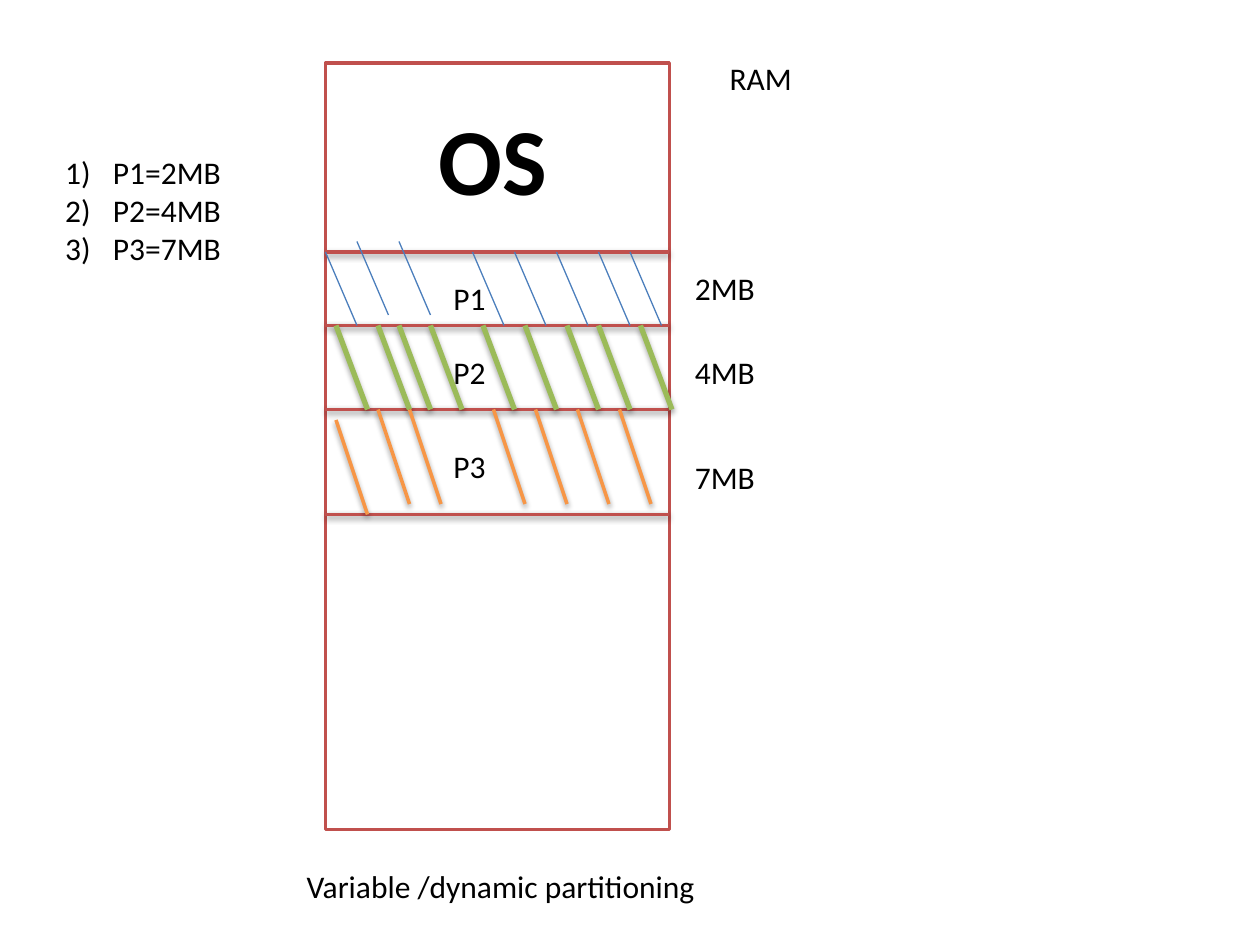
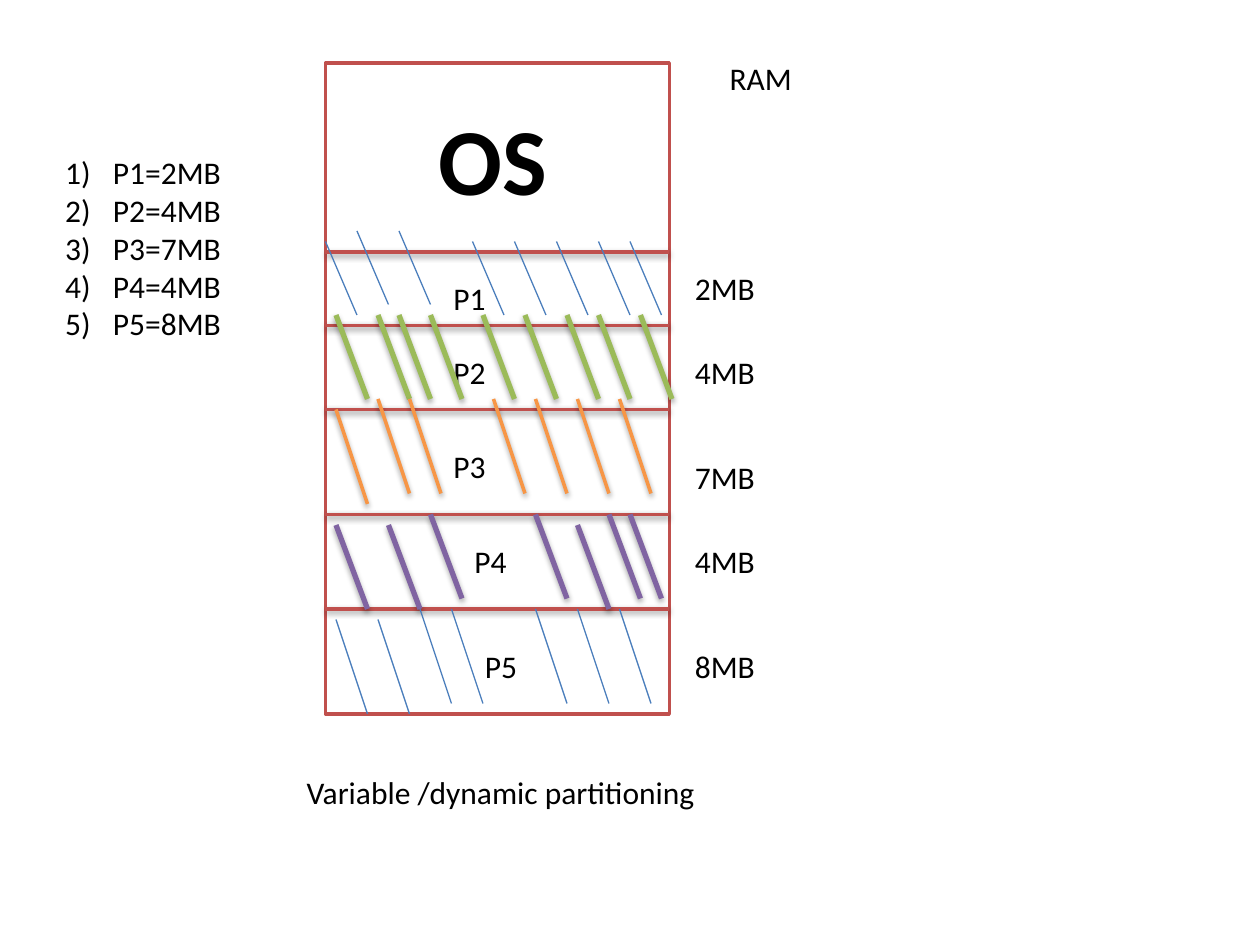
from dataclasses import dataclass

from lxml import etree
from pptx import Presentation
from pptx.dml.color import RGBColor
from pptx.enum.shapes import MSO_CONNECTOR, MSO_SHAPE
from pptx.enum.text import MSO_ANCHOR, MSO_AUTO_SIZE, PP_ALIGN
from pptx.oxml.ns import qn
from pptx.util import Inches, Pt

STRAIGHT, RECT = MSO_CONNECTOR.STRAIGHT, MSO_SHAPE.RECTANGLE
LEFT, CENTER, TOP = PP_ALIGN.LEFT, PP_ALIGN.CENTER, MSO_ANCHOR.TOP
FIT = MSO_AUTO_SIZE.SHAPE_TO_FIT_TEXT

COLORS = {"frame": "C0504D", "paper": "FFFFFF", "ink": "000000", "blue": "4B7EBC",
          "green": "9BBB59", "orange": "F79646", "purple": "8064A2"}
FONT = "Calibri"

# The slide is a grid of 120 columns by 90 rows
COLS, ROWS = 120, 90
SLIDE_W, SLIDE_H = Inches(10), Inches(7.5)
RAM_LEFT, RAM_TOP, RAM_WIDTH = 31, 6, 32.75
LEAN = 3            # columns a hatch stroke moves to the right
ROW_TEXT = 4.8      # rows taken by one line of text
LIST_INDENT = Inches(0.38)


@dataclass(frozen=True)
class Stroke:
    color: str
    weight: float
    shadow: tuple[int, int] | None = None   # opacity in percent, distance in EMU


FRAME = Stroke("frame", 2, (38, 20000))
THIN = Stroke("blue", 0.75)


@dataclass(frozen=True)
class Process:
    name: str
    size: str
    top: int
    bottom: int
    name_at: tuple[int, int]
    size_row: int
    stroke: Stroke
    hatch_cols: tuple[int, ...]
    hatch_rows: int
    moved_cols: tuple[int, ...] = ()        # strokes that start off the top edge
    moved_by: int = 1


@dataclass(frozen=True)
class Memory:
    count: int          # processes loaded
    rows: int           # height of the RAM frame
    caption_row: int
    list_cols: float
    raised: int         # processes whose hatching sits one row higher


PROCESSES = (
    Process("P1", "2MB", 24, 31, (42, 26), 25, THIN,
            (31, 34, 38, 45, 49, 53, 57, 60), 7, (34, 38), -1),
    Process("P2", "4MB", 31, 39, (42, 33), 33, Stroke("green", 3, (35, 23000)),
            (32, 36, 38, 41, 46, 50, 54, 57, 61), 8),
    Process("P3", "7MB", 39, 49, (42, 42), 43, Stroke("orange", 2, (38, 20000)),
            (32, 36, 39, 47, 51, 55, 59), 9, (32,)),
    Process("P4", "4MB", 49, 58, (44, 51), 51, Stroke("purple", 3, (35, 23000)),
            (32, 37, 41, 51, 55, 58, 60), 8, (32, 37, 55)),
    Process("P5", "8MB", 58, 68, (45, 61), 61, THIN,
            (32, 36, 40, 43, 51, 55, 59), 9, (32, 36)),
)
MEMORIES = (Memory(3, 73, 82, 17.4, 0), Memory(5, 62, 73, 20, 3))


def x(col: float) -> int:
    return round(SLIDE_W * col / COLS)


def y(row: float) -> int:
    return round(SLIDE_H * row / ROWS)


def rgb(name: str) -> RGBColor:
    return RGBColor.from_string(COLORS[name])


def add_run(p, text: str, size: int = 18, bold: bool = False) -> None:
    r = p.add_run()
    r.text = text
    r.font.name, r.font.size, r.font.bold = FONT, Pt(size), bold
    r.font.color.rgb = rgb("ink")


def add_label(s, text: str, col: float, row: float, cols: float,
              rows: float = ROW_TEXT, size: int = 18, bold: bool = False, align=LEFT) -> None:
    tf = s.shapes.add_textbox(x(col), y(row), x(cols), y(rows)).text_frame
    tf.word_wrap, tf.auto_size = True, FIT
    p = tf.paragraphs[0]
    p.alignment = align
    add_run(p, text, size, bold)


def add_line(s, start: tuple[float, float], end: tuple[float, float], stroke: Stroke) -> None:
    line = s.shapes.add_connector(STRAIGHT, x(start[0]), y(start[1]), x(end[0]), y(end[1]))
    line.line.color.rgb = rgb(stroke.color)
    line.line.width = Pt(stroke.weight)
    effects = etree.SubElement(line._element.spPr, qn("a:effectLst"))
    if stroke.shadow:
        opacity, distance = stroke.shadow
        shadow = etree.SubElement(effects, qn("a:outerShdw"), blurRad="40000",
                                  dist=str(distance), dir="5400000", rotWithShape="0")
        color = etree.SubElement(shadow, qn("a:srgbClr"), val=COLORS["ink"])
        etree.SubElement(color, qn("a:alpha"), val=str(opacity * 1000))


def place(sp, col: float, row: float, cols: float, rows: float):
    """Move a placeholder on the grid and return its text frame."""
    sp.left, sp.top, sp.width, sp.height = x(col), y(row), x(cols), y(rows)
    tf = sp.text_frame
    tf.auto_size, tf.vertical_anchor = FIT, TOP
    return tf


def add_caption(s, row: float) -> None:
    tf = place(s.shapes.title, 28, row, 40.5, ROW_TEXT)
    tf.word_wrap = False
    tf.paragraphs[0].alignment = LEFT
    add_run(tf.paragraphs[0], "Variable /dynamic partitioning")


def add_process_list(s, processes: tuple[Process, ...], cols: float) -> None:
    tf = place(s.placeholders[1], 5, 14, cols, 1.2 + 3.6 * len(processes))
    tf.word_wrap = True
    for i, process in enumerate(processes):
        p = tf.add_paragraph() if i else tf.paragraphs[0]
        pPr = p._p.get_or_add_pPr()
        pPr.set("marL", str(LIST_INDENT))
        pPr.set("indent", str(-LIST_INDENT))
        etree.SubElement(pPr, qn("a:buFont"), typeface="+mj-lt")
        etree.SubElement(pPr, qn("a:buAutoNum"), type="arabicParenR")
        p.space_before = Pt(0)
        add_run(p, f"{process.name}={process.size}")


def add_hatching(s, process: Process, lift: int) -> None:
    for col in process.hatch_cols:
        row = process.top - lift + (process.moved_by if col in process.moved_cols else 0)
        add_line(s, (col, row), (col + LEAN, row + process.hatch_rows), process.stroke)


def add_memory_slide(prs, memory: Memory) -> None:
    s = prs.slides.add_slide(prs.slide_layouts[1])
    processes = PROCESSES[:memory.count]
    add_caption(s, memory.caption_row)
    add_process_list(s, processes, memory.list_cols)

    # RAM frame and the edges between partitions
    ram = s.shapes.add_shape(RECT, x(RAM_LEFT), y(RAM_TOP), x(RAM_WIDTH), y(memory.rows))
    ram.shadow.inherit = False
    ram.fill.solid()
    ram.fill.fore_color.rgb = rgb("paper")
    ram.line.color.rgb = rgb(FRAME.color)
    ram.line.width = Pt(FRAME.weight)
    edges = [process.top for process in processes]
    if processes[-1].bottom < RAM_TOP + memory.rows:
        edges.append(processes[-1].bottom)
    for row in edges:
        add_line(s, (RAM_LEFT, row), (RAM_LEFT + RAM_WIDTH, row), FRAME)

    # Labels
    add_label(s, "OS", 34.7, 9, 24.5, 12.1, 54, True, CENTER)
    add_label(s, "RAM", 68.3, 5, 9.7)
    for process in processes:
        add_label(s, process.name, *process.name_at, 9.1)
        add_label(s, process.size, 65, process.size_row, 10.7)

    # Hatching over the used partitions
    for i, process in enumerate(processes):
        add_hatching(s, process, 1 if i < memory.raised else 0)


def main() -> None:
    prs = Presentation()
    prs.slide_width, prs.slide_height = SLIDE_W, SLIDE_H
    for memory in MEMORIES:
        add_memory_slide(prs, memory)
    prs.save("out.pptx")


if __name__ == "__main__":
    main()
